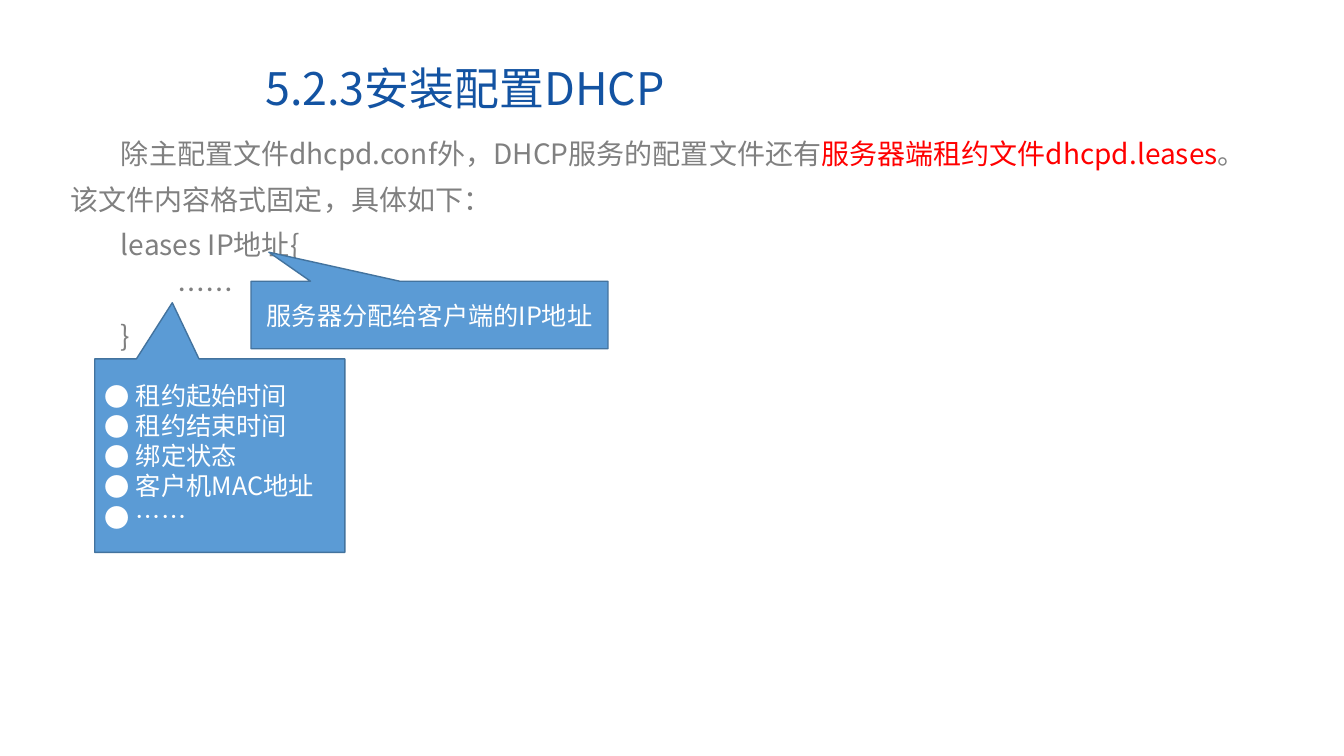
from lxml import etree
from pptx import Presentation
from pptx.dml.color import RGBColor
from pptx.enum import shapes, text
from pptx.oxml import ns
from pptx.util import Inches, Pt

FONT = "Noto Sans CJK SC"
TITLE_BLUE = RGBColor(0x13, 0x53, 0xA2)
BODY_GREY = RGBColor(0x80, 0x80, 0x80)
KEY_RED = RGBColor(0xFF, 0x00, 0x00)
CALLOUT_BLUE = RGBColor(0x5B, 0x9B, 0xD5)
CALLOUT_EDGE = RGBColor(0x43, 0x73, 0x9E)
WHITE = RGBColor(0xFF, 0xFF, 0xFF)

# Content
TITLE = "5.2.3安装配置DHCP"
BODY = [
    [("除主配置文件dhcpd.conf外，DHCP服务的配置文件还有", BODY_GREY),
     ("服务器端租约文件dhcpd.leases", KEY_RED),
     ("。该文件内容格式固定，具体如下：", BODY_GREY)],
    [("leases IP地址{", BODY_GREY)],
    [("\t ……", BODY_GREY)],
    [("}", BODY_GREY)],
]
# Each callout: box (left, top, width, height), pointer, lines, bulleted
CALLOUTS = [
    ((2.49, 2.79, 3.54, 0.67), (-0.45, -0.93),
     ["服务器分配给客户端的IP地址"], False),
    ((0.94, 3.56, 2.48, 1.92), (-0.19, -0.79),
     ["租约起始时间", "租约结束时间", "绑定状态", "客户机MAC地址", "……"], True),
]


def add_element(parent, tag, **attributes):
    element = etree.SubElement(parent, ns.qn(tag))
    for name, value in attributes.items():
        element.set(name, str(value))
    return element


def format_run(run, size, color):
    run.font.size = Pt(size)
    run.font.color.rgb = color
    run.font.name = FONT
    add_element(run.font._element, "a:ea", typeface=FONT)


def set_indent(paragraph, margin, first_line):
    properties = paragraph._p.get_or_add_pPr()
    properties.set("marL", str(Inches(margin)))
    properties.set("indent", str(Inches(first_line)))
    return properties


def place(shape, box):
    shape.left, shape.top, shape.width, shape.height = map(Inches, box)


def prepare_placeholder(shape, box):
    place(shape, box)
    frame = shape.text_frame
    frame.word_wrap = True
    frame.auto_size = text.MSO_AUTO_SIZE.NONE
    frame.vertical_anchor = text.MSO_ANCHOR.TOP
    return frame


def add_callout(slide, box, pointer, lines, bulleted):
    callout = slide.shapes.add_shape(
        shapes.MSO_SHAPE.RECTANGULAR_CALLOUT, *map(Inches, box))
    callout.adjustments[0], callout.adjustments[1] = pointer
    callout.shadow.inherit = False
    callout.fill.solid()
    callout.fill.fore_color.rgb = CALLOUT_BLUE
    callout.line.color.rgb = CALLOUT_EDGE
    callout.line.width = Pt(1)
    frame = callout.text_frame
    frame.word_wrap = True
    frame.vertical_anchor = text.MSO_ANCHOR.MIDDLE
    frame.text = "\n".join(lines)
    for paragraph in frame.paragraphs:
        if bulleted:
            properties = set_indent(paragraph, 0.31, -0.31)
            add_element(properties, "a:buFont", typeface=FONT)
            add_element(properties, "a:buChar", char="●")
            paragraph.alignment = text.PP_ALIGN.LEFT
        else:
            paragraph.alignment = text.PP_ALIGN.CENTER
        format_run(paragraph.runs[0], 18, WHITE)


def main():
    presentation = Presentation()
    presentation.slide_width = Inches(13.33)
    presentation.slide_height = Inches(7.5)
    slide = presentation.slides.add_slide(presentation.slide_layouts[1])

    # Title
    title = prepare_placeholder(slide.shapes.title, (2.53, 0.55, 5.67, 0.64))
    title.text = TITLE
    title.paragraphs[0].alignment = text.PP_ALIGN.LEFT
    format_run(title.paragraphs[0].runs[0], 32, TITLE_BLUE)

    # Body text with first-line indents
    body = prepare_placeholder(slide.placeholders[1], (0.6, 1.19, 12.07, 2.37))
    for index, parts in enumerate(BODY):
        paragraph = body.add_paragraph() if index else body.paragraphs[0]
        properties = set_indent(paragraph, 0, 0.5)
        add_element(properties, "a:buNone")
        tabs = add_element(properties, "a:tabLst")
        add_element(tabs, "a:tab", pos=Inches(0.78), algn="l")
        paragraph.line_spacing = 1.35
        paragraph.space_before = Pt(0)
        for words, color in parts:
            run = paragraph.add_run()
            run.text = words
            format_run(run, 20, color)

    # Callouts pointing into the file format
    for callout in CALLOUTS:
        add_callout(slide, *callout)

    presentation.save("out.pptx")


if __name__ == "__main__":
    main()
